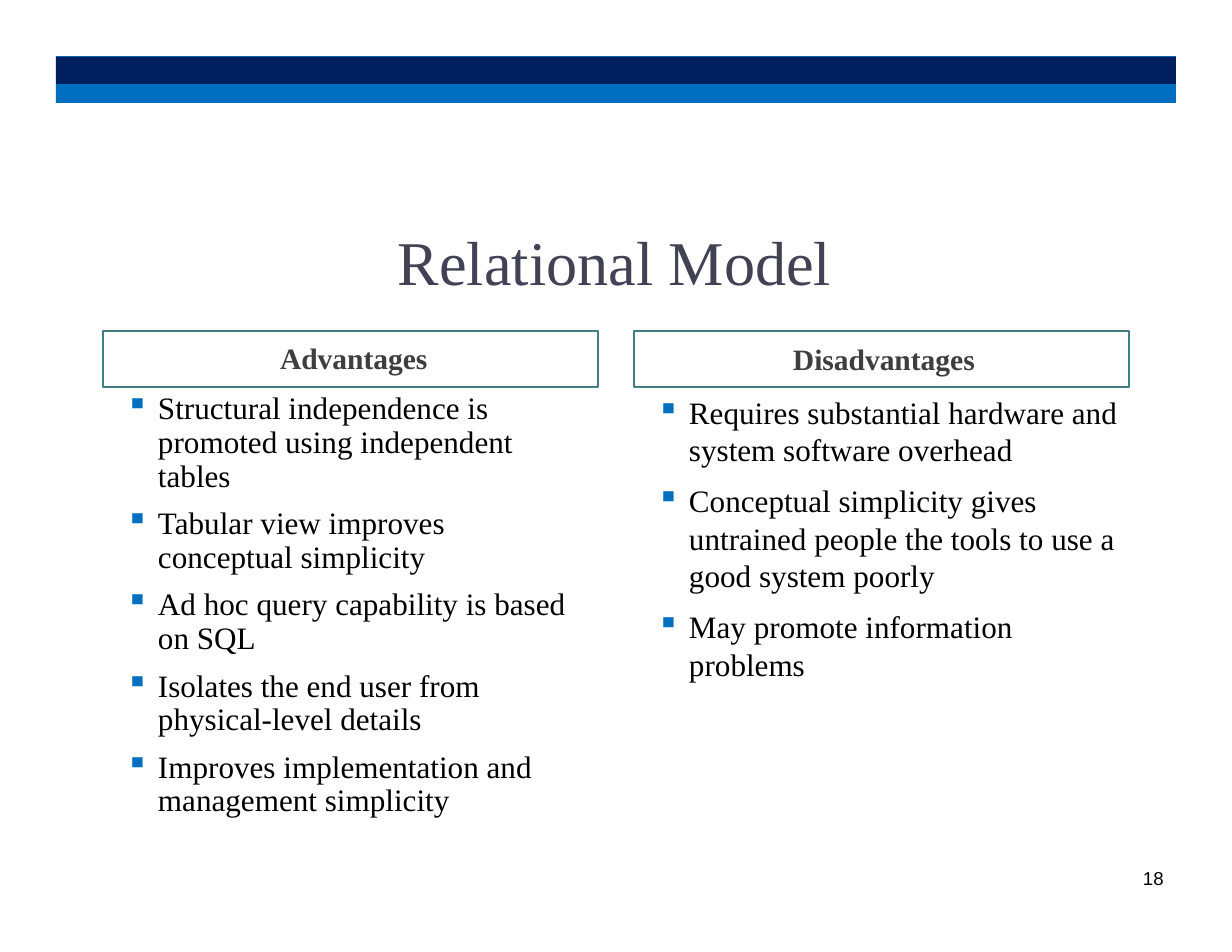
from dataclasses import dataclass
from typing import Optional

from lxml.etree import SubElement
from pptx import Presentation
from pptx.dml.color import RGBColor
from pptx.enum.shapes import MSO_SHAPE as Shape
from pptx.enum.text import MSO_ANCHOR as Anchor, MSO_AUTO_SIZE as AutoSize, PP_ALIGN as Align
from pptx.oxml.ns import qn
from pptx.util import Emu, Pt

EMU_PER_PX = 914400 / 112
NAVY = RGBColor(0x00, 0x1F, 0x5F)
BLUE = RGBColor(0x00, 0x6F, 0xBF)
BULLET_BLUE = RGBColor(0x00, 0x6F, 0xC0)
TEAL = RGBColor(0x42, 0x7F, 0x85)
SLATE = RGBColor(0x41, 0x43, 0x55)
CHARCOAL = RGBColor(0x3E, 0x3E, 0x3E)
BLACK = RGBColor(0x00, 0x00, 0x00)

SERIF = "Times New Roman"
TITLE_FONT = {"name": SERIF, "size": Pt(40), "bold": False}
HEADING_FONT = {"name": SERIF, "size": Pt(19), "bold": True}
BULLET_FONT = {"name": SERIF, "size": Pt(20), "bold": False}
NUMBER_FONT = {"name": "Arial", "size": Pt(12), "bold": False}
BULLET_INDENT = 32


@dataclass(frozen=True)
class Box:
    left: int
    top: int
    width: int
    height: int


@dataclass(frozen=True)
class Bar:
    box: Box
    color: RGBColor


@dataclass(frozen=True)
class Column:
    heading: str
    heading_indent: int
    points: tuple[str, ...]
    frame: Box
    body: Box
    top_inset: int
    first_gap: float
    line_spacing: Optional[Pt]


BARS = (
    Bar(Box(56, 84, 1120, 19), BLUE),
    Bar(Box(56, 56, 1120, 1), BLUE),
    Bar(Box(56, 57, 1120, 27), NAVY),
)

COLUMNS = (
    Column(
        "Advantages", 154,
        (
            "Structural independence is promoted using independent tables",
            "Tabular view improves conceptual simplicity",
            "Ad hoc query capability is based on SQL",
            "Isolates the end user from physical-level details",
            "Improves implementation and management simplicity",
        ),
        Box(103, 331, 495, 56), Box(126, 327, 445, 493), 13, 10.9, Pt(21.6),
    ),
    Column(
        "Disadvantages", 136,
        (
            "Requires substantial hardware and system software overhead",
            "Conceptual simplicity gives untrained people the tools to use a good system poorly",
            "May promote information problems",
        ),
        Box(634, 331, 495, 56), Box(657, 324, 465, 359), 17, 10.6, None,
    ),
)


def px(length: int) -> Emu:
    return Emu(round(length * EMU_PER_PX))


def place(shape, box: Box) -> None:
    for side in ("left", "top", "width", "height"):
        setattr(shape, side, px(getattr(box, side)))


def format_font(font, values: dict, color: RGBColor) -> None:
    for name, value in values.items():
        setattr(font, name, value)
    font.color.rgb = color


def format_frame(frame, top_inset: int = 0, anchor=Anchor.TOP) -> None:
    values = {
        "margin_left": 0, "margin_right": 0, "margin_bottom": 0,
        "margin_top": px(top_inset), "word_wrap": True,
        "auto_size": AutoSize.NONE, "vertical_anchor": anchor,
    }
    for name, value in values.items():
        setattr(frame, name, value)


def add_rectangle(slide, box: Box):
    rectangle = slide.shapes.add_shape(
        Shape.RECTANGLE, px(box.left), px(box.top), px(box.width), px(box.height))
    rectangle.shadow.inherit = False
    return rectangle


def add_text_frame(slide, box: Box, top_inset: int = 0):
    frame = slide.shapes.add_textbox(
        px(box.left), px(box.top), px(box.width), px(box.height)).text_frame
    format_frame(frame, top_inset)
    return frame


def add_bar(slide, bar: Bar) -> None:
    rectangle = add_rectangle(slide, bar.box)
    rectangle.fill.solid()
    rectangle.fill.fore_color.rgb = bar.color
    rectangle.line.fill.background()


def indent(paragraph, left: int, first_line: int = 0) -> None:
    properties = paragraph._p.get_or_add_pPr()
    properties.set("marL", str(px(left)))
    properties.set("indent", str(px(first_line)))


def add_bullet(paragraph) -> None:
    indent(paragraph, BULLET_INDENT, -BULLET_INDENT)
    properties = paragraph._p.get_or_add_pPr()
    color = SubElement(properties, qn("a:buClr"))
    SubElement(color, qn("a:srgbClr")).set("val", str(BULLET_BLUE))
    SubElement(properties, qn("a:buChar")).set("char", "▪")


def add_column(slide, column: Column) -> None:
    outline = add_rectangle(slide, column.frame)
    outline.fill.background()
    outline.line.color.rgb = TEAL
    outline.line.width = px(2)

    frame = add_text_frame(slide, column.body, column.top_inset)
    heading = frame.paragraphs[0]
    heading.text = column.heading
    indent(heading, column.heading_indent)
    format_font(heading.font, HEADING_FONT, CHARCOAL)

    for index, point in enumerate(column.points):
        paragraph = frame.add_paragraph()
        paragraph.text = point
        add_bullet(paragraph)
        paragraph.space_before = Pt(9 if index else column.first_gap)
        if column.line_spacing:
            paragraph.line_spacing = column.line_spacing
        format_font(paragraph.font, BULLET_FONT, BLACK)


def set_title(slide, text: str) -> None:
    title = slide.shapes.title
    place(title, Box(398, 221, 437, 77))
    format_frame(title.text_frame, 1, Anchor.BOTTOM)
    title.text_frame.text = text
    paragraph = title.text_frame.paragraphs[0]
    paragraph.alignment = Align.LEFT
    format_font(paragraph.font, TITLE_FONT, SLATE)


def add_slide_number(slide, number: str) -> None:
    paragraph = add_text_frame(slide, Box(1139, 870, 30, 21)).paragraphs[0]
    paragraph.text = number
    indent(paragraph, 4)
    paragraph.line_spacing = Pt(12.7)
    format_font(paragraph.font, NUMBER_FONT, BLACK)


def main() -> None:
    deck = Presentation()
    deck.slide_width, deck.slide_height = px(1232), px(952)
    slide = deck.slides.add_slide(deck.slide_layouts.get_by_name("Title Only"))
    for bar in BARS:
        add_bar(slide, bar)
    set_title(slide, "Relational Model")
    for column in COLUMNS:
        add_column(slide, column)
    add_slide_number(slide, "18")
    deck.save("out.pptx")


if __name__ == "__main__":
    main()
